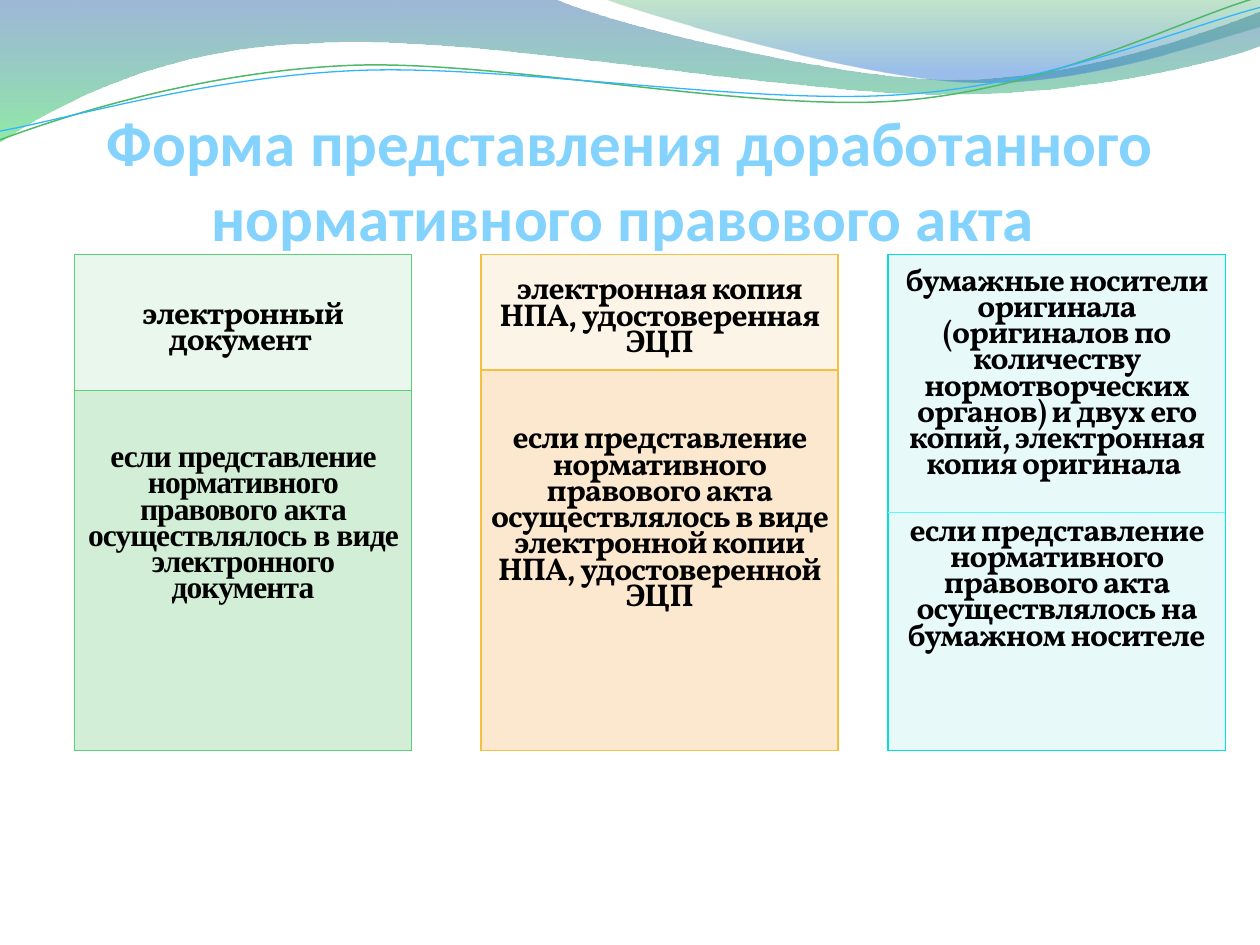
from dataclasses import dataclass
from math import cos, radians, sin

from lxml import etree
from pptx import Presentation
from pptx.dml.color import RGBColor
from pptx.enum import text
from pptx.oxml import ns
from pptx.util import Pt


@dataclass(frozen=True)
class Theme:
    title: str = "83D3FE"
    ink: str = "000000"
    head: str = "Calibri"
    body: str = "Vollkorn"
    serif: str = "Times New Roman"
    big: int = 36
    size: int = 18
    lead: int = 15
    after: int = 4
    tilt: float = 357.3


T = Theme()

# Gradient stops: position, colour, opacity in percent
# Steps: two numbers draw a straight line, six draw a Bezier curve
WAVES = [
    ([(0, "2960A7", 45), (100, "35DA5E", 55)],
     [(0, 0), (316.8, -0.7),
      (342.7, 12.2, 478.1, 45.4, 545.8, 45.4),
      (614.2, 45.4, 689.8, 18.7, 720, 6.5), (720.7, 25.9),
      (707.8, 31.7, 626.4, 54.7, 537.1, 54),
      (447.8, 54, 275, 20.2, 185, 24.5),
      (92.9, 25.9, 33.1, 59.8, -0.7, 81.4)]),
    ([(0, "36A752", 30), (80, "2472D3", 45)],
     [(344.9, -0.7), (366.5, 7.9, 491, 44.6, 553.7, 46.8),
      (616.3, 49.7, 691.9, 23, 720, 15.1), (720, 0)]),
]
# Lines: colour, width, centre of tilt, steps
LINES = [
    ("50B86A", 0.85, (359.3, 41.4),
     [(0, 79.9), (34.6, 67, 113.8, 41, 199.4, 37.4),
      (284.4, 33.8, 427, 64.1, 513.4, 57.6),
      (599.8, 51.1, 675.4, 10.8, 718.6, -1.4)]),
    ("31B6FD", 0.75, (359.6, 42.5),
     [(0, 74.9), (33.8, 69.1, 118.1, 43.9, 203.8, 40.3),
      (290.2, 36.7, 429.8, 60.5, 516.2, 54),
      (601.9, 48.2, 677.5, 15.1, 720, 4.3)]),
]

# Cards: left, width, border, rows of (height, fill, top inset, font, texts)
CARDS = [
    (42.5, 192.7, "5BD078", [
        (77.8, "EAF7EC", 33, T.body, ["электронный документ "]),
        (205.9, "D2EED6", 33, T.serif,
         ["если представление нормативного правового акта "
          "осуществлялось в виде электронного документа"])]),
    (275, 203.8, "F5C040", [
        (66.2, "FDF4E8", 19, T.body,
         ["электронная копия НПА, удостоверенная ЭЦП"]),
        (217.5, "FBE8CF", 38, T.body,
         ["если представление нормативного правового акта "
          "осуществлялось в виде электронной копии НПА, "
          "удостоверенной ЭЦП"])]),
    (507.5, 192.7, "05E0DB", [
        (283.7, "E7F9F8", 14, T.body,
         ["бумажные носители оригинала (оригиналов по количеству "
          "нормотворческих органов) и двух его копий, электронная "
          "копия оригинала ",
          "если представление нормативного правового акта "
          "осуществлялось на бумажном носителе"])]),
]


def rgb(code):
    return RGBColor.from_string(code)


def style(par, name, size, color):
    par.alignment = text.PP_ALIGN.CENTER
    font = par.font
    font.name, font.size, font.bold = name, Pt(size), True
    font.color.rgb = rgb(color)


def turn(steps, hub, angle):
    """Rotate every point of the steps about the hub."""
    c, s = cos(radians(angle)), sin(radians(angle))
    out = []
    for step in steps:
        new = []
        for x, y in zip(step[::2], step[1::2]):
            dx, dy = x - hub[0], y - hub[1]
            new += [hub[0] + dx * c - dy * s, hub[1] + dx * s + dy * c]
        out.append(tuple(new))
    return out


def draw(slide, box, steps, close):
    left, top = box
    dots = [(Pt(left + x), Pt(top + y)) for step in steps
            for x, y in zip(step[::2], step[1::2])]
    pen = slide.shapes.build_freeform(*dots[0])
    pen.add_line_segments(dots[1:], close=close)
    shape = pen.convert_to_shape()
    shape.shadow.inherit = False
    # Join each run of three points into one curve
    marks = iter(list(shape.element.spPr.iter(ns.qn("a:lnTo"))))
    for step in steps[1:]:
        mark = next(marks)
        if len(step) == 6:
            mark.addprevious(curve := etree.Element(ns.qn("a:cubicBezTo")))
            for old in (mark, next(marks), next(marks)):
                curve.append(old[0])
                old.getparent().remove(old)
    return shape


def add_waves(slide, box):
    # Shaded bands
    for stops, steps in WAVES:
        shape = draw(slide, box, steps, True)
        shape.line.fill.background()
        shape.fill.gradient()
        shape.fill.gradient_angle = 270
        for stop, (pos, color, _) in zip(shape.fill.gradient_stops, stops):
            stop.position = pos / 100
            stop.color.rgb = rgb(color)
        tones = shape.element.spPr.iter(ns.qn("a:srgbClr"))
        for tone, (_, _, alpha) in zip(tones, stops):
            etree.SubElement(tone, ns.qn("a:alpha"), val=str(alpha * 1000))
    # Thin tilted lines
    for color, width, hub, steps in LINES:
        shape = draw(slide, box, turn(steps, hub, -T.tilt), False)
        shape.rotation = T.tilt
        shape.fill.background()
        shape.line.color.rgb = rgb(color)
        shape.line.width = Pt(width)


def add_title(slide, box):
    frame = slide.shapes.add_textbox(*map(Pt, box)).text_frame
    frame.word_wrap = True
    frame.vertical_anchor = text.MSO_ANCHOR.BOTTOM
    frame.margin_left = frame.margin_right = frame.margin_bottom = 0
    par = frame.paragraphs[0]
    par.text = "Форма представления доработанного нормативного правового акта "
    style(par, T.head, T.big, T.title)


def edge(cell, color):
    props = cell._tc.get_or_add_tcPr()
    for side in ("a:lnL", "a:lnR", "a:lnT", "a:lnB"):
        line = etree.SubElement(props, ns.qn(side), w=str(Pt(1)))
        fill = etree.SubElement(line, ns.qn("a:solidFill"))
        etree.SubElement(fill, ns.qn("a:srgbClr"), val=color)


def add_card(slide, box, border, rows):
    table = slide.shapes.add_table(len(rows), 1, *map(Pt, box)).table
    table.first_row = table.horz_banding = False
    for i, (height, fill, inset, name, texts) in enumerate(rows):
        table.rows[i].height = Pt(height)
        cell = table.cell(i, 0)
        edge(cell, border)
        cell.fill.solid()
        cell.fill.fore_color.rgb = rgb(fill)
        cell.margin_left = cell.margin_right = Pt(5)
        cell.margin_top, cell.margin_bottom = Pt(inset), 0
        frame = cell.text_frame
        frame.text = "\n".join(texts)
        for n, par in enumerate(frame.paragraphs):
            style(par, name, T.size, T.ink)
            par.line_spacing, par.space_after = Pt(T.lead), Pt(T.after)
            if n:
                par.space_before = Pt(T.lead + T.after)
            par._p.pPr.find(ns.qn("a:defRPr")).set("spc", "-50")


def add_rule(slide, box, color):
    left, top, width = box
    line = slide.shapes.add_connector(
        1, Pt(left), Pt(top), Pt(left + width), Pt(top))
    line.line.color.rgb = rgb(color)
    line.line.width = Pt(0.75)
    etree.SubElement(line.element.spPr, ns.qn("a:effectLst"))


def main():
    deck = Presentation()
    deck.slide_width, deck.slide_height = Pt(720), Pt(540)
    slide = deck.slides.add_slide(deck.slide_layouts[6])
    add_waves(slide, (0, 0))
    add_title(slide, (36, 55.3, 648, 90))
    for left, width, border, rows in CARDS:
        tall = sum(row[0] for row in rows)
        add_card(slide, (left, 145.3, width, tall), border, rows)
    # Divider inside the last card
    add_rule(slide, (left, 292.7, width), "5AFBF8")
    deck.save("out.pptx")


if __name__ == "__main__":
    main()
